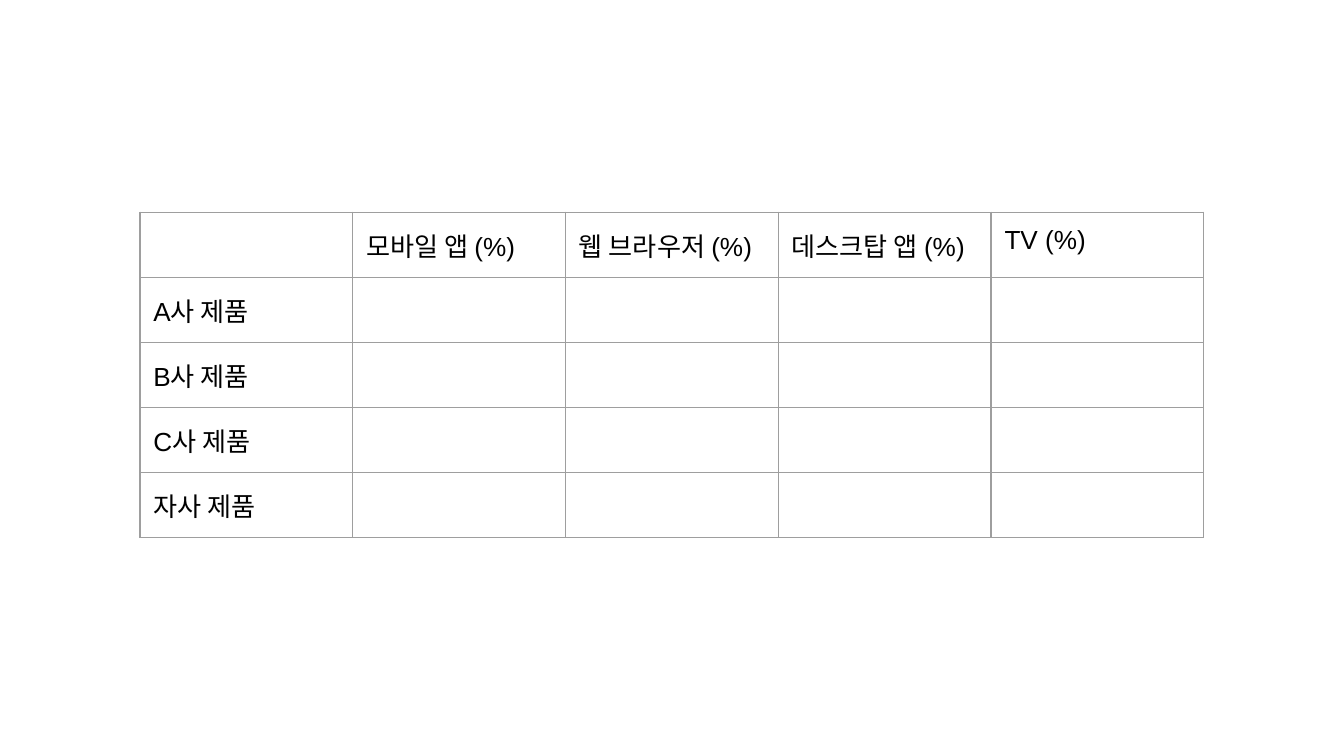
from lxml.etree import SubElement
from pptx import Presentation
from pptx.dml.color import RGBColor
from pptx.oxml.ns import qn
from pptx.util import Pt

COLUMN_HEADS = ["모바일 앱 (%)", "웹 브라우저 (%)", "데스크탑 앱 (%)", "TV (%)"]
PRODUCTS = ["A사 제품", "B사 제품", "C사 제품", "자사 제품"]

LEFT, TOP = 75, 113.63
COLUMN_WIDTH, ROW_HEIGHT = 114, 30
MARGIN = 7.2
FONT, FONT_SIZE = "Arial", 14
TEXT_COLOR, BORDER_COLOR, BORDER_WIDTH = "000000", "9E9E9E", 0.75


def color(value):
    return RGBColor.from_string(value)


def draw_borders(cell):
    properties = cell._tc.get_or_add_tcPr()
    for side in ("a:lnL", "a:lnR", "a:lnT", "a:lnB"):
        line = SubElement(properties, qn(side), w=str(Pt(BORDER_WIDTH)))
        fill = SubElement(line, qn("a:solidFill"))
        SubElement(fill, qn("a:srgbClr"), val=BORDER_COLOR)


def fill_cell(cell, text):
    draw_borders(cell)
    cell.fill.background()
    cell.margin_left = cell.margin_right = Pt(MARGIN)
    cell.margin_top = cell.margin_bottom = Pt(MARGIN)
    paragraph = cell.text_frame.paragraphs[0]
    if not text:
        # An empty cell needs its own text size, or it stretches the row.
        SubElement(paragraph._p, qn("a:endParaRPr"), sz=str(FONT_SIZE * 100))
        return
    paragraph.text = text
    font = paragraph.runs[0].font
    font.name = FONT
    font.size = Pt(FONT_SIZE)
    font.color.rgb = color(TEXT_COLOR)


presentation = Presentation()
presentation.slide_width, presentation.slide_height = Pt(720), Pt(405)
slide = presentation.slides.add_slide(presentation.slide_layouts[6])

blanks = [""] * len(COLUMN_HEADS)
rows = [["", *COLUMN_HEADS]] + [[product, *blanks] for product in PRODUCTS]
row_count, column_count = len(rows), len(rows[0])

table = slide.shapes.add_table(
    row_count, column_count, Pt(LEFT), Pt(TOP),
    Pt(COLUMN_WIDTH * column_count), Pt(ROW_HEIGHT * row_count),
).table
table.first_row = table.horz_banding = False

for row, texts in zip(table.rows, rows):
    for cell, text in zip(row.cells, texts):
        fill_cell(cell, text)

presentation.save("out.pptx")
